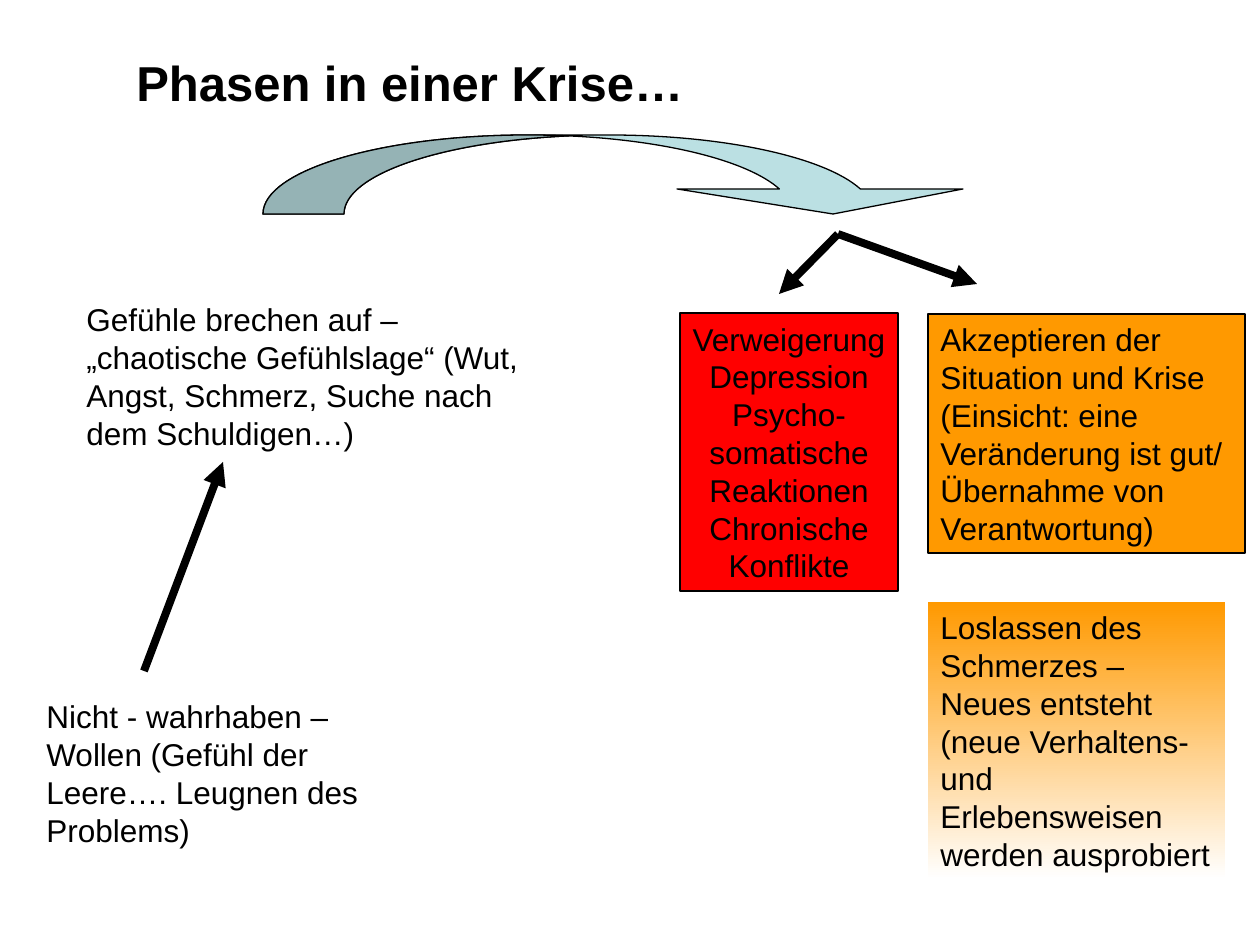
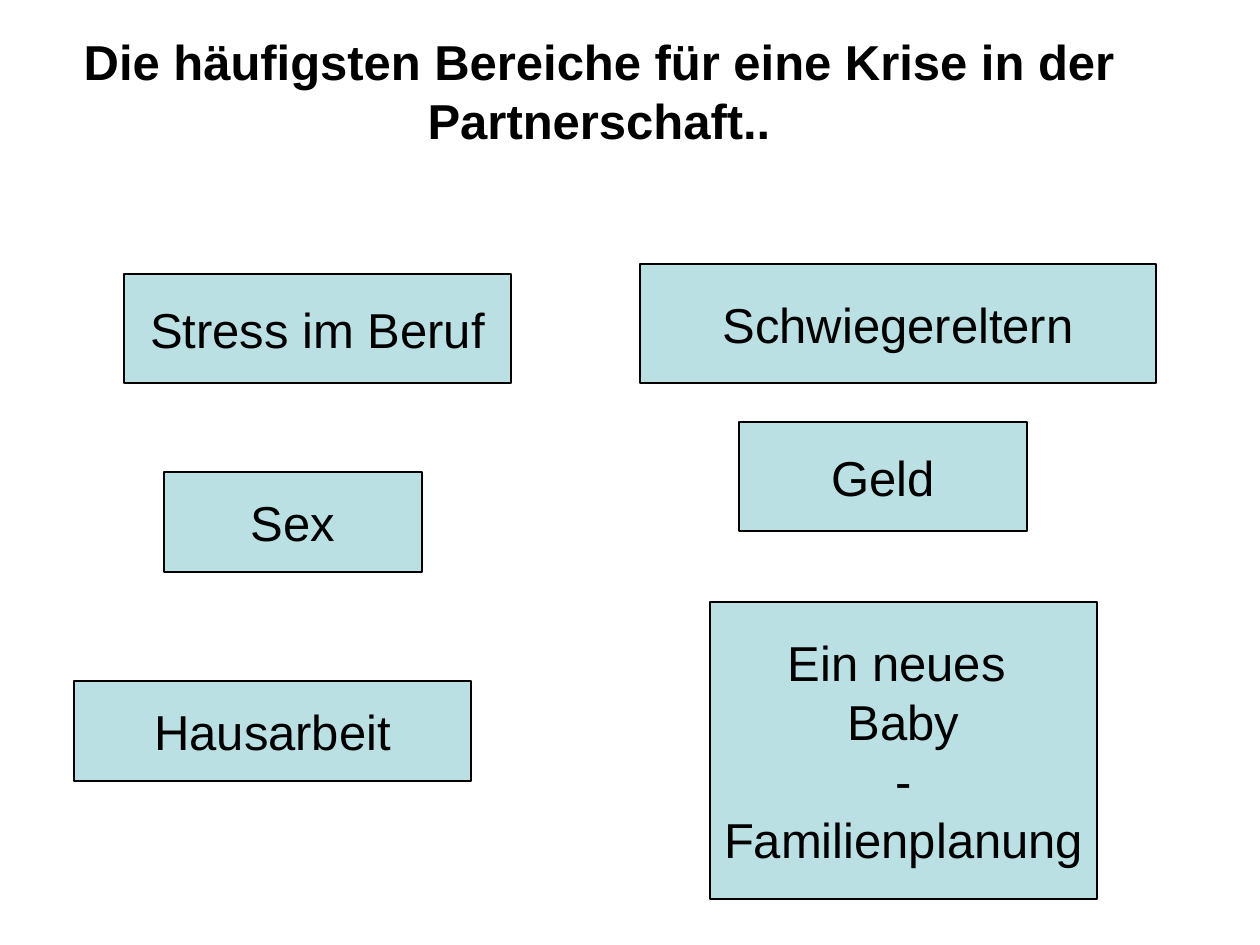
"""Build two slides about phases and common causes of a crisis."""
from math import acos, asin, cos, pi, sin, tan

from pptx import Presentation
from pptx.dml.color import RGBColor
from pptx.enum.shapes import MSO_CONNECTOR as CONNECTOR, MSO_SHAPE as SHAPE
from pptx.enum.text import MSO_ANCHOR as ANCHOR, MSO_AUTO_SIZE as FIT, PP_ALIGN as ALIGN
from pptx.oxml.ns import qn
from pptx.util import Pt
from lxml.etree import SubElement

PX = 914400 / 126
FONT = "Arial"
COLORS = {"ink": "000000", "paper": "FFFFFF", "refusal": "FF0000",
          "growth": "FF9900", "area": "BBE0E3"}
BODY, HEADING = 18, 28

PHASES_TITLE = ("Phasen in einer Krise…", (124, 46, 922, 72))
AREAS_TITLE = ("Die häufigsten Bereiche für eine Krise in der Partnerschaft..",
               (64, 35, 1070, 110))
EARLY_PHASES = [
    ("Nicht - wahrhaben –Wollen (Gefühl der Leere…. Leugnen des Problems)",
     (34, 691, 348, 164)),
    ("Gefühle brechen auf – „chaotische Gefühlslage“ (Wut, Angst, Schmerz, "
     "Suche nach dem Schuldigen…)", (74, 294, 476, 164)),
]
REFUSAL = ("Verweigerung\nDepression\nPsycho-\nsomatische\nReaktionen\nChronische\nKonflikte",
           (680, 313, 218, 278))
ACCEPTANCE = ("Akzeptieren der Situation und Krise (Einsicht: eine Veränderung ist gut/ "
              "Übernahme von Verantwortung)", (928, 314, 317, 239))
LETTING_GO = ("Loslassen des Schmerzes – Neues entsteht (neue Verhaltens- und "
              "Erlebensweisen werden ausprobiert", (928, 602, 297, 277))
FORK = (838, 234)
STEPS = [((144, 671), (223, 462)), (FORK, (977, 284)), (FORK, (779, 294))]
CRISIS_AREAS = [
    ("Stress im Beruf", (124, 274, 387, 109)),
    ("Sex", (164, 472, 258, 100)),
    ("Hausarbeit", (74, 681, 397, 100)),
    ("Schwiegereltern", (640, 264, 516, 119)),
    ("Geld", (739, 422, 288, 109)),
    ("Ein neues \nBaby\n-\nFamilienplanung", (710, 602, 387, 297)),
]
ARC = {"top": 135, "base": 214, "rx": 265, "ry": 79, "outer": 528, "inner": 609}
HEAD = {"left": 677, "right": 963, "top": 189, "tip": 833}
FINE = 100


def rgb(name):
    return RGBColor.from_string(COLORS[name])


def emu(*lengths):
    return [round(length * PX) for length in lengths]


def write(shape, text, size, bold=False, align=ALIGN.LEFT, anchor=ANCHOR.TOP,
          wrap=True, fit=FIT.SHAPE_TO_FIT_TEXT):
    frame = shape.text_frame
    frame.text = text
    frame.word_wrap = wrap
    frame.auto_size = fit
    frame.vertical_anchor = anchor
    for paragraph in frame.paragraphs:
        paragraph.alignment = align
        font = paragraph.font
        font.name, font.size, font.bold = FONT, Pt(size), bold
        font.color.rgb = rgb("ink")


def add_text(slide, text, place, size=BODY, **style):
    write(slide.shapes.add_textbox(*emu(*place)), text, size, **style)


def paint(shape, color):
    shape.shadow.inherit = False
    shape.fill.solid()
    shape.fill.fore_color.rgb = rgb(color)
    shape.line.color.rgb = rgb("ink")
    shape.line.width = Pt(0.75)


def add_box(slide, text, place, color, size=BODY, **style):
    box = slide.shapes.add_shape(SHAPE.RECTANGLE, *emu(*place))
    paint(box, color)
    write(box, text, size, **style)
    return box


def add_arrow(slide, start, end):
    arrow = slide.shapes.add_connector(CONNECTOR.STRAIGHT, *emu(*start, *end))
    arrow.line.color.rgb = rgb("ink")
    arrow.line.width = Pt(4.5)
    SubElement(arrow.line._get_or_add_ln(), qn("a:tailEnd"), type="triangle")
    SubElement(arrow._element.spPr, qn("a:effectLst"))


def curve(center, start, end):
    reach = 4 / 3 * tan((end - start) / 4)
    places = [(cos(start) - reach * sin(start), sin(start) + reach * cos(start)),
              (cos(end) + reach * sin(end), sin(end) - reach * cos(end)),
              (cos(end), sin(end))]
    return "cubicBezTo", [(center + ARC["rx"] * x, ARC["base"] - ARC["ry"] * y)
                          for x, y in places]


def add_curved_arrow(slide):
    left, right = ARC["outer"] - ARC["rx"], HEAD["right"]
    top, base = ARC["top"], ARC["base"]
    outer, inner = ARC["outer"], ARC["inner"]
    neck = asin((base - HEAD["top"]) / ARC["ry"])
    fold = acos((inner - outer) / 2 / ARC["rx"])

    rise = [("moveTo", [(left, base)]), curve(outer, pi, pi / 2)]
    fall = [curve(inner, pi - fold, pi), ("close", [])]
    corners = [(right, HEAD["top"]), (HEAD["tip"], base), (HEAD["left"], HEAD["top"]),
               (outer + ARC["rx"] * cos(neck), HEAD["top"])]
    body = (rise + [("lnTo", [(inner, top)]), curve(inner, pi / 2, neck)]
            + [("lnTo", [corner]) for corner in corners] + [curve(outer, neck, fold)] + fall)
    tail = rise + [curve(outer, pi / 2, fold)] + fall

    builder = slide.shapes.build_freeform(left, top, scale=PX)
    builder.add_line_segments([(right, top), (right, base), (left, base)])
    arrow = builder.convert_to_shape()
    paint(arrow, "area")
    outlines = arrow._element.spPr.find(".//" + qn("a:pathLst"))
    outlines.clear()
    size = {"w": str((right - left) * FINE), "h": str((base - top) * FINE)}
    for moves, shade in ((body, "norm"), (tail, "darkenLess")):
        outline = SubElement(outlines, qn("a:path"), fill=shade, **size)
        for move, points in moves:
            step = SubElement(outline, qn("a:" + move))
            for x, y in points:
                SubElement(step, qn("a:pt"), x=str(round((x - left) * FINE)),
                           y=str(round((y - top) * FINE)))


def build_phases(slide):
    for phase in EARLY_PHASES:
        add_text(slide, *phase)
    add_box(slide, *ACCEPTANCE, "growth")
    letting_go = add_box(slide, *LETTING_GO, "growth")
    letting_go.line.fill.background()
    letting_go.fill.gradient()
    letting_go.fill.gradient_angle = 270
    for stop, color in zip(letting_go.fill.gradient_stops, ("growth", "paper")):
        stop.color.rgb = rgb(color)
    add_curved_arrow(slide)
    add_text(slide, *PHASES_TITLE, HEADING, bold=True)
    add_box(slide, *REFUSAL, "refusal", align=ALIGN.CENTER, anchor=ANCHOR.MIDDLE,
            wrap=False, fit=FIT.NONE)
    for step in STEPS:
        add_arrow(slide, *step)


def build_areas(slide):
    centered = {"align": ALIGN.CENTER, "anchor": ANCHOR.MIDDLE, "fit": FIT.NONE}
    add_text(slide, *AREAS_TITLE, HEADING, bold=True, **centered)
    for area in CRISIS_AREAS:
        add_box(slide, *area, "area", HEADING, wrap=False, **centered)


def main():
    deck = Presentation()
    deck.slide_width, deck.slide_height = emu(1260, 945)
    for build in (build_phases, build_areas):
        build(deck.slides.add_slide(deck.slide_layouts[6]))
    deck.save("out.pptx")


if __name__ == "__main__":
    main()
